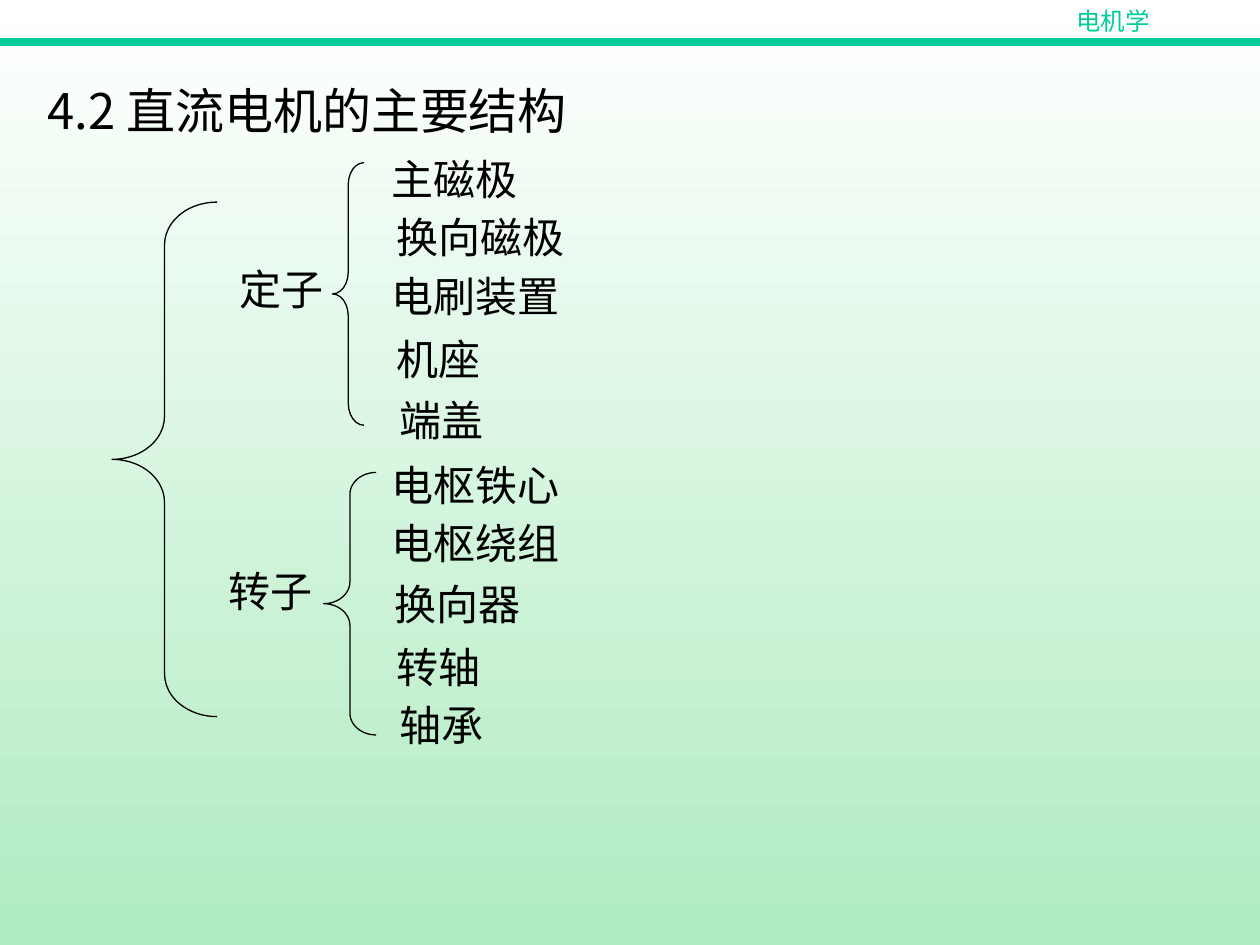
from lxml.etree import SubElement
from pptx import Presentation
from pptx.dml.color import RGBColor
from pptx.enum.shapes import MSO_CONNECTOR, MSO_SHAPE
from pptx.enum.text import MSO_ANCHOR, MSO_AUTO_SIZE, PP_ALIGN
from pptx.oxml.ns import qn
from pptx.util import Pt

COLORS = {"accent": "00CC99", "text": "000000", "top": "FFFFFF", "bottom": "B0ECC1"}

STATOR = [
    ("主磁极", 216.7, 84.2, 96),
    ("换向磁极", 219.6, 117.4, 126),
    ("电刷装置", 216.7, 151.2, 120),
    ("机座", 219.6, 187.2, 102),
    ("端盖", 221, 221.8, 70.6),
]
ROTOR = [
    ("电枢铁心", 216.7, 259.2, 123),
    ("电枢绕组", 216.7, 292.3, 126),
    ("换向器", 218.2, 326.9, 120),
    ("转轴", 219.6, 362.9, 102),
    ("轴承", 221, 396, 70.6),
]
PARTS = [("定子", 129.6, 146.9, 72), ("转子", 123.8, 319.7, 72)]
BRACES = [(64, 115.5, 60, 294), (190, 93, 18, 150), (185, 270, 30, 150)]


def rgb(name):
    return RGBColor.from_string(COLORS[name])


class SlideBuilder:
    font = "Times New Roman"
    size = 24
    height = 36

    def __init__(self, prs):
        self.s = prs.slides.add_slide(prs.slide_layouts[5])

    def background(self):
        fill = self.s.background.fill
        fill.gradient()
        fill.gradient_angle = 270
        for stop, name, position in zip(fill.gradient_stops, ("top", "bottom"), (0, 1)):
            stop.color.rgb = rgb(name)
            stop.position = position

    def style(self, sp, text, font, size, color, align, wrap=True):
        tf = sp.text_frame
        tf.word_wrap = wrap
        tf.auto_size = MSO_AUTO_SIZE.NONE
        tf.vertical_anchor = MSO_ANCHOR.TOP
        p = tf.paragraphs[0]
        p.text = text
        p.alignment = align
        p.font.name = font
        p.font.size = Pt(size)
        p.font.color.rgb = rgb(color)

    def title(self, text, x, y, w, h):
        sp = self.s.shapes.title
        sp.left, sp.top, sp.width, sp.height = Pt(x), Pt(y), Pt(w), Pt(h)
        self.style(sp, text, "Noto Sans CJK SC", 28, "text", PP_ALIGN.LEFT, wrap=False)

    def label(self, text, x, y, w, h=height, font=font, size=size,
              color="text", align=PP_ALIGN.LEFT):
        sp = self.s.shapes.add_textbox(Pt(x), Pt(y), Pt(w), Pt(h))
        self.style(sp, text, font, size, color, align)

    def rule(self, x1, y1, x2, y2):
        line = self.s.shapes.add_connector(
            MSO_CONNECTOR.STRAIGHT, Pt(x1), Pt(y1), Pt(x2), Pt(y2))
        line.line.color.rgb = rgb("accent")
        line.line.width = Pt(4.5)
        SubElement(line._element.spPr, qn("a:effectLst"))

    def brace(self, x, y, w, h):
        sp = self.s.shapes.add_shape(MSO_SHAPE.LEFT_BRACE, Pt(x), Pt(y), Pt(w), Pt(h))
        sp.adjustments[0] = h / 12 / w
        sp.shadow.inherit = False
        sp.fill.background()
        sp.line.color.rgb = rgb("text")
        sp.line.width = Pt(0.75)


def main():
    prs = Presentation()
    prs.slide_width, prs.slide_height = Pt(720), Pt(540)
    slide = SlideBuilder(prs)
    slide.background()
    slide.rule(0, 24, 720, 24)
    slide.label("电机学", 582, 0, 108, 24.5, "Arial", 14, "accent", PP_ALIGN.CENTER)
    slide.title("4.2 直流电机的主要结构", 20, 42.5, 320, 41)
    for box in BRACES:
        slide.brace(*box)
    for item in PARTS + STATOR + ROTOR:
        slide.label(*item)
    prs.save("out.pptx")


if __name__ == "__main__":
    main()
